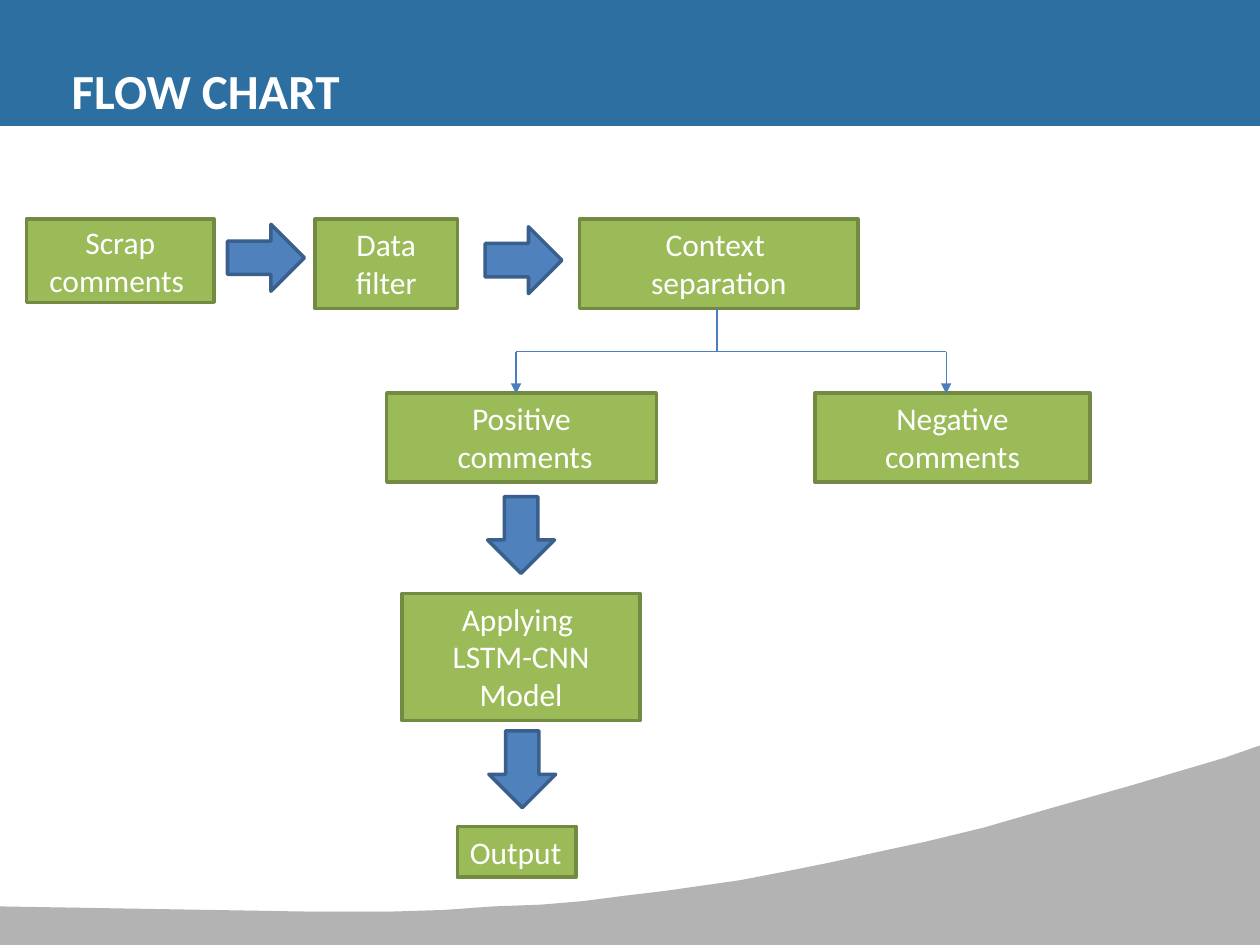
import dataclasses

import pptx
import pptx.dml.color
import pptx.enum.shapes
import pptx.enum.text
import pptx.oxml.ns
import pptx.util
from lxml import etree

Pt = pptx.util.Pt
RGB = pptx.dml.color.RGBColor.from_string
MSO_SHAPE = pptx.enum.shapes.MSO_SHAPE
ALIGN = pptx.enum.text.PP_ALIGN
ANCHOR = pptx.enum.text.MSO_ANCHOR
qn = pptx.oxml.ns.qn


@dataclasses.dataclass(frozen=True)
class Theme:
    font: str = "Calibri"
    title_size: int = 28
    box_size: int = 18
    text: str = "FFFFFF"
    band: str = "2D6FA0"
    wave: str = "575757"
    box_fill: str = "9BBB59"
    box_line: str = "738A42"
    arrow_fill: str = "4F81BD"
    arrow_line: str = "3A5F8C"
    connector: str = "4B7EBC"


theme = Theme()


def paint(shape, fill, line=None):
    shape.shadow.inherit = False
    shape.fill.solid()
    shape.fill.fore_color.rgb = RGB(fill)
    if line:
        shape.line.color.rgb = RGB(line)
        shape.line.width = Pt(2)
    else:
        shape.line.fill.background()


def write(shape, lines, size, align, anchor, bold=False):
    frame = shape.text_frame
    frame.vertical_anchor = anchor
    for index, line in enumerate(lines):
        paragraph = frame.paragraphs[0] if index == 0 else frame.add_paragraph()
        paragraph.alignment = align
        run = paragraph.add_run()
        run.text = line
        run.font.name = theme.font
        run.font.size = Pt(size)
        run.font.bold = bold
        run.font.color.rgb = RGB(theme.text)


presentation = pptx.Presentation()
presentation.slide_width = Pt(720)
presentation.slide_height = Pt(540)
slide = presentation.slides.add_slide(presentation.slide_layouts[5])
shapes = slide.shapes

# Header band and wave along the foot
band = shapes.add_shape(MSO_SHAPE.RECTANGLE, 0, 0, Pt(720), Pt(72))
paint(band, theme.band)

wave_edge = [
    (720, 426.2), (699.8, 432.7), (645.8, 449.3), (600.5, 462.2), (561.6, 473),
    (529.2, 481), (501.1, 487.4), (474.5, 493.2), (448.6, 498.2), (423.4, 503.3),
    (401.8, 506.2), (380.9, 509), (356.4, 511.9), (332.6, 514.8), (308.9, 517),
    (281.5, 518.4), (254.2, 519.8), (222.5, 520.6), (179.3, 520.6), (0, 517.7),
]
builder = shapes.build_freeform(*wave_edge[0], scale=Pt(1))
builder.add_line_segments(wave_edge[1:] + [(0, 540), (720, 540)], close=True)
wave = builder.convert_to_shape()
paint(wave, theme.wave)
wave_color = wave.fill._xPr.find(qn("a:solidFill"))[0]
etree.SubElement(wave_color, qn("a:alpha"), val="45000")

# Title, brought in front of the band
title = shapes.title
title.left, title.top, title.width, title.height = Pt(33.8), Pt(31), Pt(326.9), Pt(41)
write(title, ["FLOW CHART"], theme.title_size, ALIGN.LEFT, ANCHOR.TOP, bold=True)
shapes._spTree.append(title._element)

# Process boxes: left, top, width, height, lines
boxes = [
    (15.1, 125.3, 107.3, 47.5, ["Scrap comments "]),
    (180, 125.3, 81.4, 51, ["Data filter"]),
    (331.2, 125.3, 159.1, 51, ["Context ", "separation"]),
    (221, 224.6, 154.1, 51, ["Positive", "\u00a0comments".replace("\u00a0", " ")]),
    (465.8, 224.6, 157, 51, ["Negative comments"]),
    (229.7, 339.1, 136.1, 72.7, ["Applying ", "LSTM-CNN Model"]),
    (261.4, 472.3, 67.7, 29, ["Output"]),
]
for left, top, width, height, lines in boxes:
    box = shapes.add_shape(MSO_SHAPE.RECTANGLE, Pt(left), Pt(top), Pt(width), Pt(height))
    paint(box, theme.box_fill, theme.box_line)
    is_output = lines == ["Output"]
    box.text_frame.word_wrap = not is_output
    write(box, lines, theme.box_size,
          ALIGN.LEFT if is_output else ALIGN.CENTER,
          ANCHOR.MIDDLE if lines == ["Scrap comments "] else ANCHOR.TOP)

# Block arrows: left, top, rotation
for left, top, rotation in [(130, 128.2, 0), (277.2, 129.6, 0),
                            (275.8, 286.6, 90), (276.5, 420.5, 90)]:
    arrow = shapes.add_shape(MSO_SHAPE.RIGHT_ARROW, Pt(left), Pt(top), Pt(43.9), Pt(38.2))
    arrow.rotation = rotation
    paint(arrow, theme.arrow_fill, theme.arrow_line)

# Branch from context separation to the two kinds of comments
stem_x, positive_x, negative_x = 409.7, 294.9, 540.7
stem_top, bar_y, drop_end = 176, 200.9, 225
branch = [
    (stem_x, stem_top, stem_x, bar_y, False),
    (positive_x, bar_y, negative_x, bar_y, False),
    (positive_x, bar_y, positive_x, drop_end, True),
    (negative_x, bar_y, negative_x, drop_end, True),
]
for start_x, start_y, end_x, end_y, has_head in branch:
    connector = shapes.add_connector(
        pptx.enum.shapes.MSO_CONNECTOR.STRAIGHT,
        Pt(start_x), Pt(start_y), Pt(end_x), Pt(end_y))
    connector.line.color.rgb = RGB(theme.connector)
    connector.line.width = Pt(0.75)
    if has_head:
        etree.SubElement(connector.line._get_or_add_ln(), qn("a:tailEnd"), type="triangle")
    etree.SubElement(connector._element.spPr, qn("a:effectLst"))

presentation.save("out.pptx")
